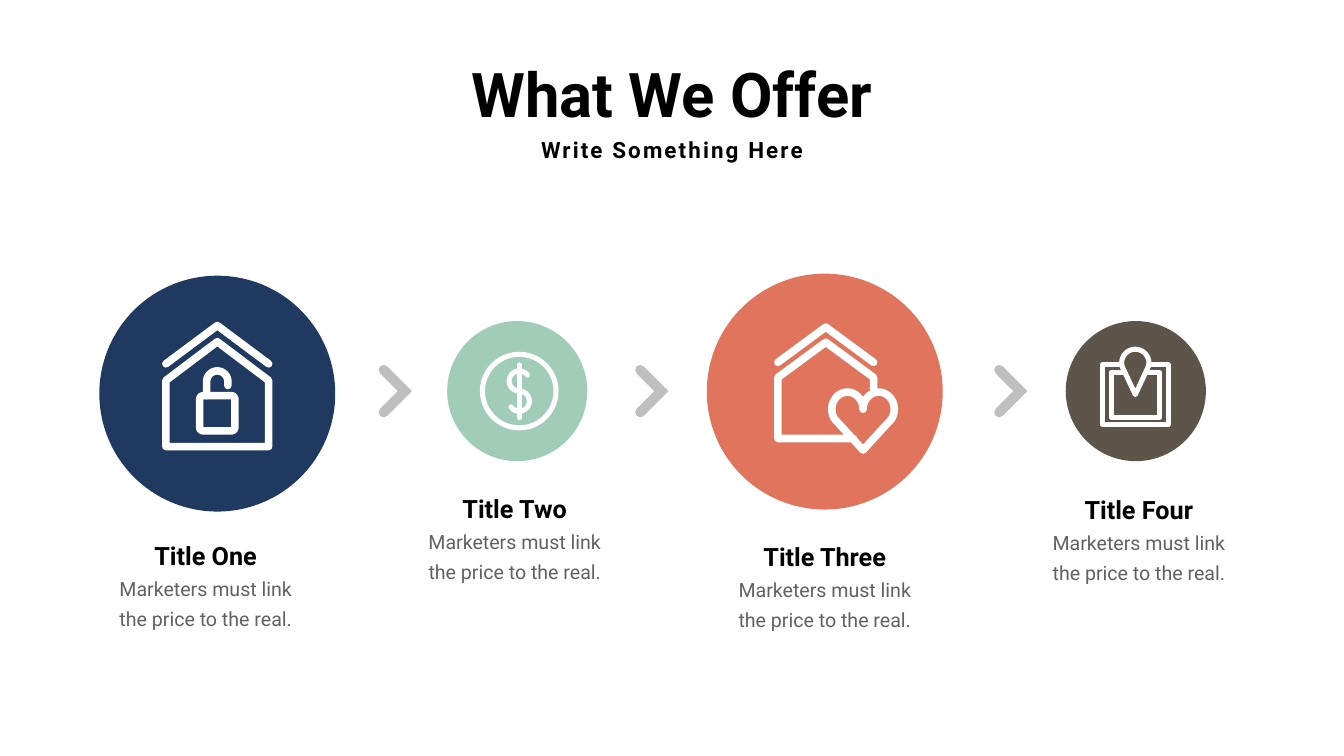
from dataclasses import dataclass
from math import cos, radians, sin

from lxml import etree
from pptx import Presentation
from pptx.dml.color import RGBColor
from pptx.enum.shapes import MSO_CONNECTOR, MSO_SHAPE
from pptx.enum.text import MSO_ANCHOR, MSO_AUTO_SIZE, PP_ALIGN
from pptx.oxml.ns import qn
from pptx.util import Pt

OVAL = MSO_SHAPE.OVAL
ROUND = MSO_SHAPE.ROUNDED_RECTANGLE
LINE = MSO_CONNECTOR.STRAIGHT
MIDDLE = MSO_ANCHOR.MIDDLE
FIXED = MSO_AUTO_SIZE.NONE
CENTER = PP_ALIGN.CENTER
SCALE = 9144


@dataclass(frozen=True)
class Theme:
    """Hold the colours, font and type sizes of the slide."""
    font: str = "Roboto"
    ink: str = "000000"
    soft: str = "606160"
    white: str = "FFFFFF"
    arrow: str = "BFBFBF"
    navy: str = "1F3961"
    mint: str = "A1CCB7"
    coral: str = "E0745D"
    brown: str = "5D554A"
    head: int = 88
    sub: int = 32
    name: int = 36
    body: int = 28
    lead: int = 43


THEME = Theme()


def px(num):
    """Turn px into EMU."""
    return round(num * SCALE)


def place(shape, left, top, width, height):
    """Set the position and size of a shape."""
    shape.left, shape.top = px(left), px(top)
    shape.width, shape.height = px(width), px(height)


def write(shape, text, size, color=THEME.ink, bold=True, lead=None, track=0,
          side=0, pad=0):
    """Fill a shape with one centred paragraph."""
    frame = shape.text_frame
    frame.word_wrap, frame.auto_size = True, FIXED
    frame.vertical_anchor = MIDDLE
    frame.margin_left = frame.margin_right = px(side)
    frame.margin_top, frame.margin_bottom = px(pad), 0
    para = frame.paragraphs[0]
    para.alignment = CENTER
    para.line_spacing = Pt(lead) if lead else 1.0
    run = para.add_run()
    run.text = text
    font = run.font
    font.name, font.size, font.bold = THEME.font, Pt(size), bold
    font.color.rgb = RGBColor.from_string(color)
    if track:
        run._r.get_or_add_rPr().set("spc", str(track * 100))


def label(slide, box, text, size, **form):
    """Add a text box."""
    shape = slide.shapes.add_textbox(*map(px, box))
    write(shape, text, size, **form)


def stroke(shape, width, color=THEME.white, join="round"):
    """Give a shape a line with round ends."""
    shape.line.color.rgb = RGBColor.from_string(color)
    shape.line.width = px(width)
    line = shape.line._get_or_add_ln()
    line.set("cap", "rnd")
    corner = etree.SubElement(line, qn(f"a:{join}"))
    if join == "miter":
        corner.set("lim", "800000")


def trace(slide, points, width, close=False, **form):
    """Draw a stroked outline through points."""
    spots = [(px(x), px(y)) for x, y in points]
    pen = slide.shapes.build_freeform(*spots[0], scale=1.0)
    pen.add_line_segments(spots[1:], close=close)
    shape = pen.convert_to_shape()
    shape.shadow.inherit = False
    shape.fill.background()
    stroke(shape, width, **form)


def ring(slide, kind, box, width):
    """Draw an unfilled preset outline."""
    shape = slide.shapes.add_shape(kind, *map(px, box))
    shape.shadow.inherit = False
    shape.fill.background()
    stroke(shape, width)
    return shape


def disc(slide, left, top, size, color):
    """Draw a filled circle."""
    shape = slide.shapes.add_shape(OVAL, *map(px, (left, top, size, size)))
    shape.shadow.inherit = False
    shape.fill.solid()
    shape.fill.fore_color.rgb = RGBColor.from_string(color)
    shape.line.fill.background()


def arc(mid, rad, start, end, steps=32):
    """List the points of an arc, with angles in degrees."""
    turns = [radians(start + (end - start) * i / steps)
             for i in range(steps + 1)]
    return [(mid[0] + rad[0] * cos(t), mid[1] + rad[1] * sin(t))
            for t in turns]


def gable(mid, top, half, rise):
    """List the three points of a roof."""
    return [(mid - half, top + rise), (mid, top), (mid + half, top + rise)]


def locked(slide):
    """Draw the house with a padlock."""
    trace(slide, gable(431, 678, 102, 77) + [(533, 886), (329, 886)], 15,
          close=True)
    trace(slide, gable(431, 646, 102, 76), 15)
    body = ring(slide, ROUND, (396, 785, 70, 70), 15)
    body.adjustments[0] = 0.1
    trace(slide, [(410, 785)] + arc((431, 757), (21, 21), 180, 360)
          + [(452, 765)], 15)


def dollar(slide):
    """Draw the coin with its dollar sign."""
    ring(slide, OVAL, (957, 703, 146, 146), 10)
    trace(slide, arc((1030, 756), (20, 20), -35, -270)
          + arc((1030, 796), (20, 20), -90, 145), 10)
    bar = slide.shapes.add_connector(
        LINE, px(1030), px(724), px(1030), px(829))
    stroke(bar, 10)
    etree.SubElement(bar._element.spPr, qn("a:effectLst"))


def loved(slide):
    """Draw the house with a heart."""
    trace(slide, gable(1638, 649, 95, 70), 15)
    left, mid, right = gable(1638, 679, 95, 70)
    trace(slide, [(1733, 772), right, mid, left, (1543, 870), (1693, 870)],
          15)
    trace(slide, arc((1681, 812), (31, 34), -215, 0)
          + arc((1743, 812), (31, 34), -180, 35) + [(1712, 893)], 15,
          close=True)


def pinned(slide):
    """Draw the framed map with a pin."""
    mid = 2252
    for gap, half, top, low in ((30, 65, 724, 843), (26, 48, 739, 828)):
        trace(slide, [(mid - gap, top), (mid - half, top), (mid - half, low),
                      (mid + half, low), (mid + half, top),
                      (mid + gap, top)], 10)
    trace(slide, arc((mid, 720), (27, 27), 165, 375) + [(mid, 783)], 10,
          close=True)


def chevron(slide, left):
    """Draw a grey arrow to the next offer."""
    trace(slide, [(left + 11, 734), (left + 53, 776), (left + 11, 818)], 20,
          color=THEME.arrow, join="miter")


def offer(slide, name, mid, top, circle, icon):
    """Draw one offer with its circle, icon and words."""
    disc(slide, *circle)
    icon(slide)
    label(slide, (mid - 138, top, 276, 71), name, THEME.name)
    label(slide, (mid - 210, top + 60, 420, 125),
          "Marketers must link the price to the real.", THEME.body,
          color=THEME.soft, bold=False, lead=THEME.lead, side=20, pad=5)


def main():
    """Build and save the slide."""
    deck = Presentation()
    deck.slide_width, deck.slide_height = px(2666), px(1500)
    slide = deck.slides.add_slide(deck.slide_layouts[5])
    title = slide.shapes.title
    place(title, 861, 106, 943, 158)
    write(title, "What We Offer", THEME.head)
    label(slide, (1042, 265, 582, 64), "Write Something Here", THEME.sub,
          track=3)
    offers = (
        ("Title One", 408, 1067, (197, 547, 468, THEME.navy), locked),
        ("Title Two", 1021, 973, (887, 637, 278, THEME.mint), dollar),
        ("Title Three", 1636, 1069, (1402, 543, 468, THEME.coral), loved),
        ("Title Four", 2259, 975, (2114, 637, 278, THEME.brown), pinned),
    )
    for item in offers:
        offer(slide, *item)
    for left in (750, 1259, 1971):
        chevron(slide, left)
    deck.save("out.pptx")


if __name__ == "__main__":
    main()
